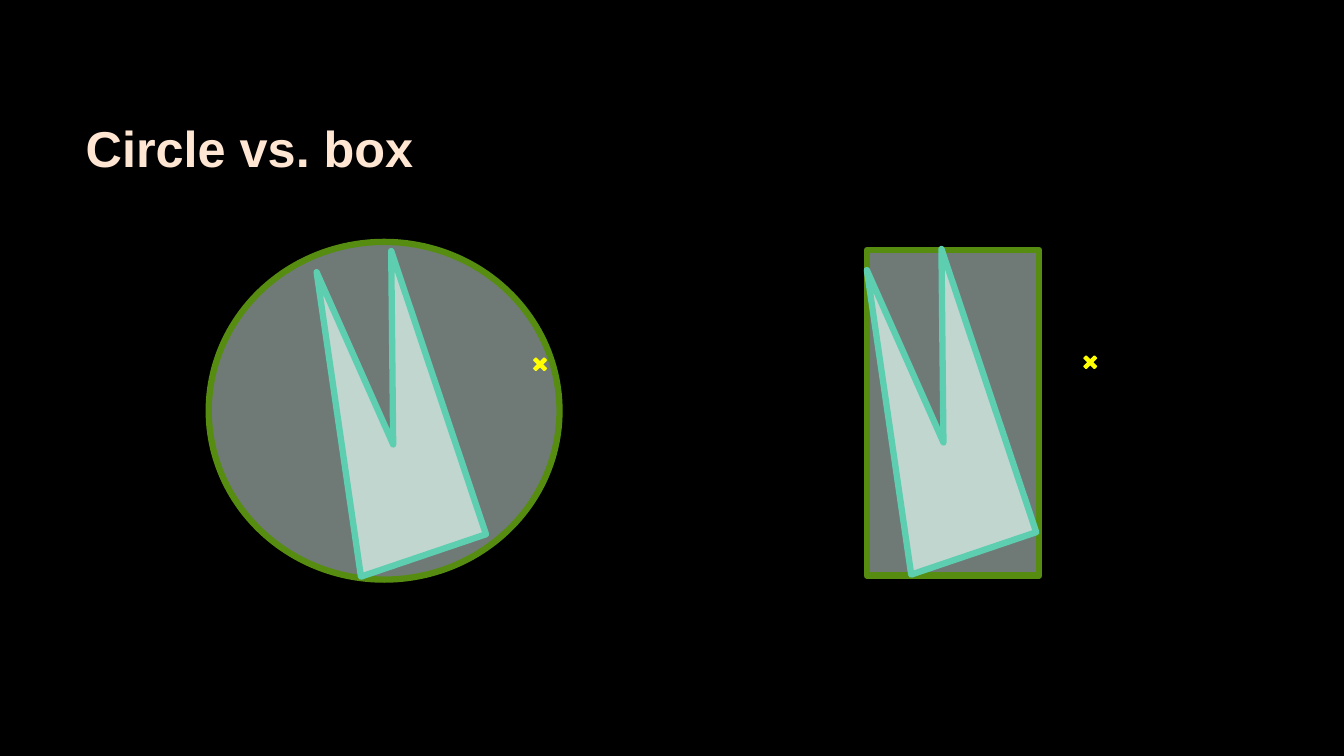
"""Build a slide that compares a bounding circle with a bounding box."""
from dataclasses import dataclass

from lxml import etree
from pptx import Presentation
from pptx import util as u
from pptx.dml.color import RGBColor
from pptx.enum import shapes, text
from pptx.oxml import ns

COLORS = {
    "background": "000000",
    "title": "FFE6D3",
    "fill": "DFF5EF",
    "bound": "568D11",
    "polygon": "5DCEAF",
    "point": "FFFF00",
}
SLIDE_WIDTH, SLIDE_HEIGHT = u.Inches(13.33), u.Inches(7.5)
POLYGON = [(3.3, 43.07), (0, 2.8), (5.7, 25.6), (5.55, 0), (12.6, 37.47)]
POINT_OFFSET = (15.91, 13.73)
POINT_SIZE = (1.43, 2.53)


@dataclass(frozen=True)
class Comparison:
    """A bound around a polygon, placed in percent of the slide's size."""
    bound_kind: shapes.MSO_SHAPE
    bound: tuple[float, float, float, float]
    polygon_origin: tuple[float, float]


COMPARISONS = [
    Comparison(shapes.MSO_SHAPE.RECTANGLE, (64.5, 33.07, 12.83, 43.07), (64.5, 32.93)),
    Comparison(shapes.MSO_SHAPE.OVAL, (15.53, 32, 26.1, 44.67), (23.56, 33.2)),
]


def across(percent: float) -> int:
    """Return a share of the slide's width."""
    return round(SLIDE_WIDTH * percent / 100)


def down(percent: float) -> int:
    """Return a share of the slide's height."""
    return round(SLIDE_HEIGHT * percent / 100)


def color(name: str) -> RGBColor:
    """Look up a colour by its part."""
    return RGBColor.from_string(COLORS[name])


def apply_format(target: object, values: dict[str, object]) -> None:
    """Set every attribute in the dict."""
    for attribute, value in values.items():
        setattr(target, attribute, value)


def paint(outline, fill: str, line: str, width: float, opacity: int = 100) -> None:
    """Fill and stroke an outline with rounded corners."""
    outline.shadow.inherit = False
    outline.fill.solid()
    outline.fill.fore_color.rgb = color(fill)
    if opacity < 100:
        rgb = outline.fill._xPr.find(".//" + ns.qn("a:srgbClr"))
        etree.SubElement(rgb, ns.qn("a:alpha")).set("val", str(opacity * 1000))
    outline.line.color.rgb = color(line)
    outline.line.width = u.Pt(width)
    etree.SubElement(outline.line._get_or_add_ln(), ns.qn("a:round"))


def add_preset(slide, kind: shapes.MSO_SHAPE, left: float, top: float,
               width: float, height: float):
    """Add a preset shape placed in percent."""
    return slide.shapes.add_shape(
        kind, across(left), down(top), across(width), down(height))


def draw_comparison(slide, comparison: Comparison) -> None:
    """Draw the bound, the polygon and the test point."""
    bound = add_preset(slide, comparison.bound_kind, *comparison.bound)
    paint(bound, "fill", "bound", 4.5, 50)

    left, top = comparison.polygon_origin
    corners = [(across(left + x), down(top + y)) for x, y in POLYGON]
    builder = slide.shapes.build_freeform(*corners[0])
    builder.add_line_segments(corners[1:], close=True)
    paint(builder.convert_to_shape(), "fill", "polygon", 4.5, 75)

    point = add_preset(slide, shapes.MSO_SHAPE.MATH_MULTIPLY,
                       left + POINT_OFFSET[0], top + POINT_OFFSET[1], *POINT_SIZE)
    point.adjustments[0] = 0.125
    paint(point, "point", "point", 1.5)


def add_title(slide, wording: str) -> None:
    """Place and format the title."""
    title = slide.shapes.title
    apply_format(title, {"left": across(5.63), "top": down(8.93),
                         "width": across(83.12), "height": down(21.2)})
    frame = title.text_frame
    frame.text = wording
    apply_format(frame, {"word_wrap": True,
                         "auto_size": text.MSO_AUTO_SIZE.NONE,
                         "vertical_anchor": text.MSO_ANCHOR.MIDDLE})
    paragraph = frame.paragraphs[0]
    paragraph.alignment = text.PP_ALIGN.LEFT
    font = paragraph.runs[0].font
    apply_format(font, {"name": "Arial", "size": u.Pt(36), "bold": True})
    font.color.rgb = color("title")


def main() -> None:
    """Build and save the presentation."""
    deck = Presentation()
    apply_format(deck, {"slide_width": SLIDE_WIDTH, "slide_height": SLIDE_HEIGHT})
    slide = deck.slides.add_slide(deck.slide_layouts.get_by_name("Title Only"))
    slide.background.fill.solid()
    slide.background.fill.fore_color.rgb = color("background")
    add_title(slide, "Circle vs. box")
    for comparison in COMPARISONS:
        draw_comparison(slide, comparison)
    deck.save("out.pptx")


if __name__ == "__main__":
    main()
